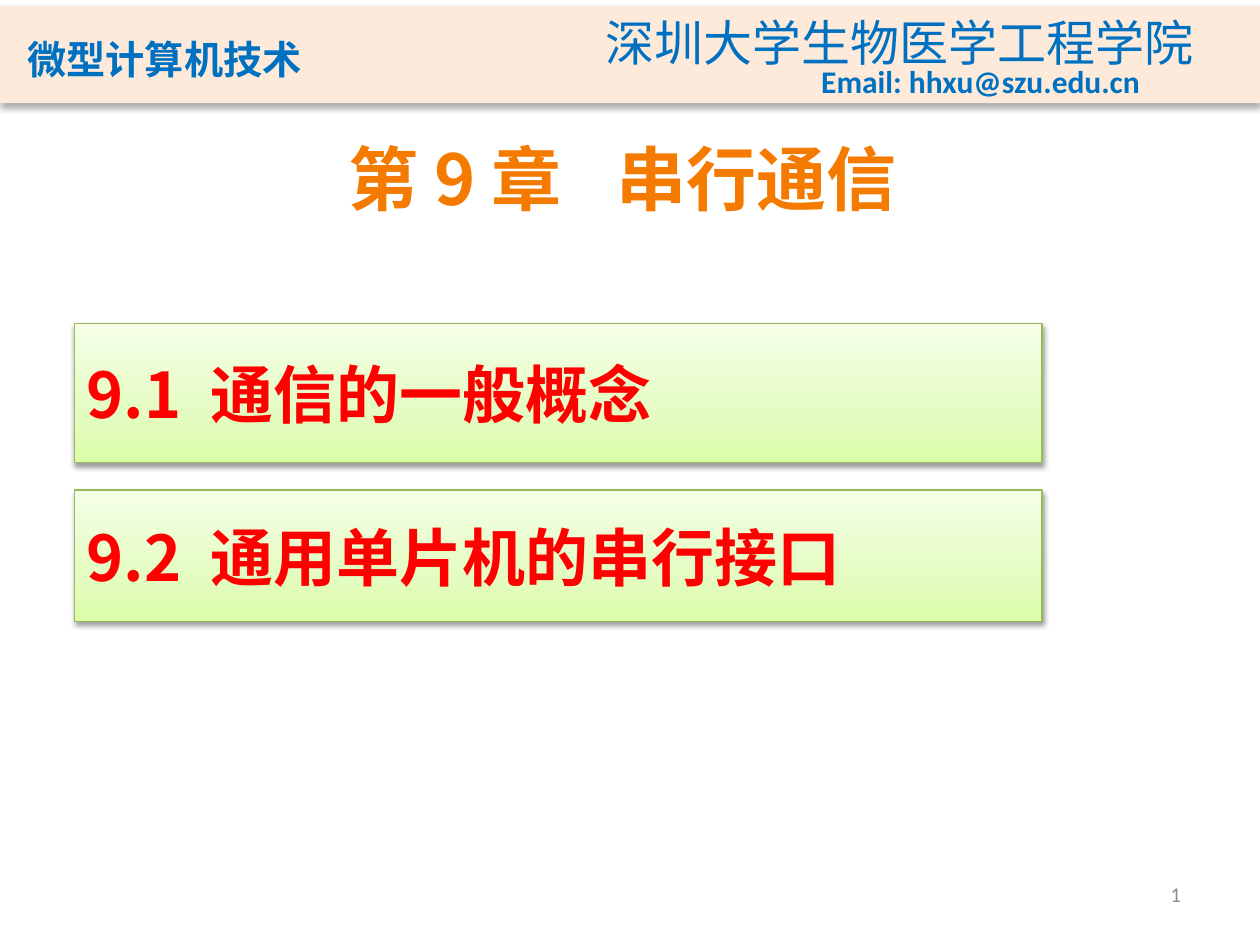
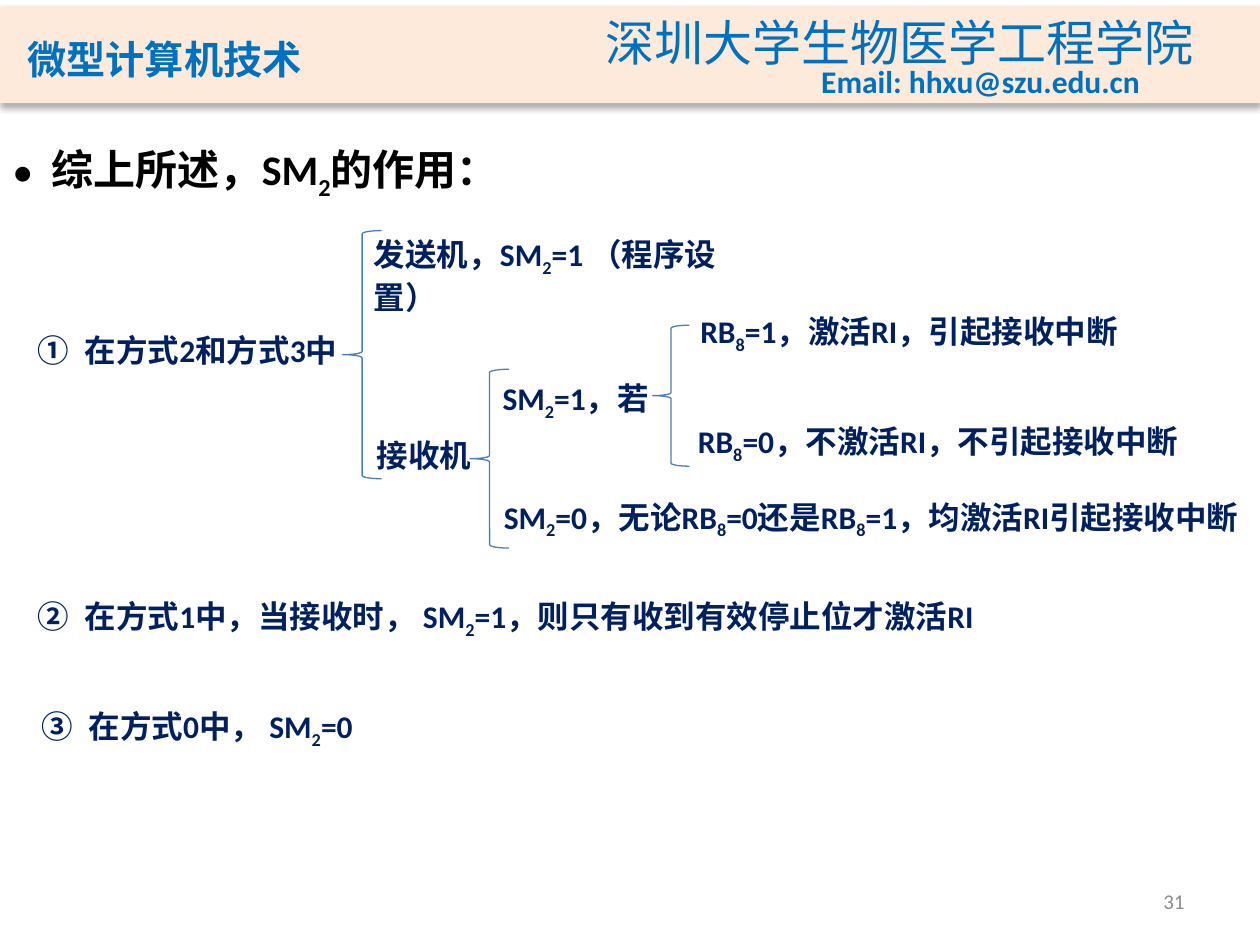
from dataclasses import dataclass

from pptx import Presentation
from pptx.dml.color import RGBColor
from pptx.enum.shapes import MSO_SHAPE
from pptx.enum.text import MSO_ANCHOR, PP_ALIGN
from pptx.oxml import parse_xml
from pptx.oxml.ns import nsdecls, qn
from pptx.util import Pt


@dataclass(frozen=True)
class Theme:
    """Colours, fonts and type sizes of the deck."""
    band: str = "FDEADA"
    brand: str = "0070C0"
    title: str = "F47A00"
    topic: str = "FF0000"
    topic_line: str = "98B955"
    topic_fill: tuple = ((0, "DAFDA7"), (35, "E4FCC2"), (100, "F5FFE7"))
    ink: str = "000000"
    note: str = "002060"
    brace: str = "4B7EBC"
    page: str = "8C8C8C"
    latin: str = "Calibri"
    cjk: str = "Noto Sans CJK SC"
    cjk_alt: str = "Noto Sans CJK JP"
    sz_title: int = 40
    sz_topic: int = 36
    sz_brand: int = 28
    sz_head: int = 24
    sz_note: int = 18
    sz_page: int = 12


T = Theme()


@dataclass(frozen=True)
class Box:
    """A rectangle in points."""
    x: float
    y: float
    w: float
    h: float

    def sub(self, dx, dy, w, h):
        """Return a box placed relative to this one."""
        return Box(self.x + dx, self.y + dy, w, h)

    def emu(self):
        """Return left, top, width and height as lengths."""
        return [Pt(v) for v in (self.x, self.y, self.w, self.h)]


def rgb(value):
    """Turn a hex string into a colour."""
    return RGBColor.from_string(value)


def style_run(r, size, color, font, bold):
    """Format one run for Latin and East Asian text."""
    r.font.size, r.font.bold, r.font.name = Pt(size), bold, font
    r.font.color.rgb = rgb(color)
    ea = T.cjk if font == T.latin else font
    r.font._element.append(parse_xml(f'<a:ea {nsdecls("a")} typeface="{ea}"/>'))


def write(tf, text, size, color, font=T.latin, bold=True, align=PP_ALIGN.LEFT):
    """Fill a text frame; every second part between bars is a subscript."""
    p = tf.paragraphs[0]
    p.alignment = align
    for i, part in enumerate(text.split("|")):
        r = p.add_run()
        r.text = part
        style_run(r, size, color, font, bold)
        if i % 2:
            r.font._element.set("baseline", "-25000")
    return p


def add_text(s, box, text, size, color, wrap=True, anchor=MSO_ANCHOR.TOP, **kw):
    """Add a text box and return its paragraph."""
    tf = s.shapes.add_textbox(*box.emu()).text_frame
    tf.word_wrap, tf.vertical_anchor = wrap, anchor
    return write(tf, text, size, color, **kw)


def set_bullet(p, indent, *parts):
    """Give a paragraph a hanging indent and bullet elements."""
    pPr = p._p.get_or_add_pPr()
    pPr.set("marL", str(Pt(indent)))
    pPr.set("indent", str(-Pt(indent)))
    for part in parts:
        pPr.append(parse_xml(f'<a:{part} {nsdecls("a")}/>'))


def set_shadow(sp, alpha, blur, dist):
    """Give a shape a black shadow that falls downwards."""
    sp.shadow.inherit = False
    sp._element.spPr.find(qn("a:effectLst")).append(parse_xml(
        f'<a:outerShdw {nsdecls("a")} blurRad="{Pt(blur)}" dist="{Pt(dist)}" '
        f'dir="5400000" rotWithShape="0"><a:srgbClr val="000000">'
        f'<a:alpha val="{alpha * 1000}"/></a:srgbClr></a:outerShdw>'))


def set_gradient(sp, stops, angle):
    """Fill a shape with a linear gradient."""
    gs = "".join(f'<a:gs pos="{pos * 1000}"><a:srgbClr val="{c}"/></a:gs>'
                 for pos, c in stops)
    sp._element.spPr.find(qn("a:prstGeom")).addnext(parse_xml(
        f'<a:gradFill {nsdecls("a")} rotWithShape="1"><a:gsLst>{gs}</a:gsLst>'
        f'<a:lin ang="{angle * 60000}" scaled="0"/></a:gradFill>'))


def add_header(s, box):
    """Draw the band with course, school and address."""
    sp = s.shapes.add_shape(MSO_SHAPE.RECTANGLE, *box.emu())
    sp.fill.solid()
    sp.fill.fore_color.rgb = rgb(T.band)
    sp.line.fill.background()
    set_shadow(sp, 32, 3.5, 2.2)
    p = add_text(s, box.sub(8.6, 7.9, 244, 40.3), "微型计算机技术", T.sz_brand,
                 T.brand, anchor=MSO_ANCHOR.BOTTOM, font=T.cjk_alt)
    p.runs[0].font._element.set("cap", "small")
    add_text(s, box.sub(339.1, 0, 353.5, 41), "深圳大学生物医学工程学院",
             T.sz_brand, T.brand, wrap=False, font=T.cjk, bold=False)
    add_text(s, box.sub(462.2, 28.1, 198, 28.8), "Email: hhxu@szu.edu.cn",
             T.sz_note, T.brand, wrap=False)


def add_page(s, box, number):
    """Write the page number."""
    add_text(s, box, str(number), T.sz_page, T.page, anchor=MSO_ANCHOR.MIDDLE,
             bold=False, align=PP_ALIGN.RIGHT)


def add_topic(s, box, text):
    """Draw one topic button."""
    sp = s.shapes.add_shape(MSO_SHAPE.ACTION_BUTTON_CUSTOM, *box.emu())
    set_gradient(sp, T.topic_fill, 270)
    sp.line.color.rgb, sp.line.width = rgb(T.topic_line), Pt(0.75)
    set_shadow(sp, 38, 3.1, 1.6)
    tf = sp.text_frame
    tf.word_wrap, tf.vertical_anchor = True, MSO_ANCHOR.MIDDLE
    tf.margin_top, tf.margin_bottom = 0, Pt(3.6)
    write(tf, text, T.sz_topic, T.topic, font=T.cjk).line_spacing = 1.1


def add_chapter(s, box):
    """Place the chapter title and its topics."""
    p = add_text(s, box.sub(-8.6, -0.7, 728.6, 72), "第 9 章\t 串行通信", T.sz_title,
                 T.title, font=T.cjk, align=PP_ALIGN.CENTER)
    p.line_spacing = 1.05
    add_topic(s, box.sub(42.5, 113, 553, 79.2), "9.1  通信的一般概念")
    add_topic(s, box.sub(42.5, 208.1, 553, 74.9), "9.2  通用单片机的串行接口")


def add_brace(s, box):
    """Draw a left brace that opens a branch."""
    sp = s.shapes.add_shape(MSO_SHAPE.LEFT_BRACE, *box.emu())
    sp.shadow.inherit = False
    sp.fill.background()
    sp.line.color.rgb, sp.line.width = rgb(T.brace), Pt(0.75)


def add_summary(s, box):
    """Place the heading, the numbered cases and the tree of braces."""
    p = add_text(s, box.sub(0, 6.5, 270, 36), "综上所述，SM|2|的作用：",
                 T.sz_head, T.ink)
    set_bullet(p, 22.5, 'buFont typeface="Calibri"', 'buChar char="•"')
    cases = (
        (14.4, 113.8, 187, "在方式2和方式3中"),
        (14.4, 265.7, 558, "在方式1中，当接收时， SM|2|=1，则只有收到有效停止位才激活RI"),
        (16.6, 328.3, 194.4, "在方式0中， SM|2|=0"),
    )
    for n, (x, y, w, text) in enumerate(cases, 1):
        p = add_text(s, box.sub(x, y, w, 28.8), text, T.sz_note, T.note)
        set_bullet(p, 27, f'buAutoNum type="circleNumDbPlain" startAt="{n}"')
    braces = ((195.8, 59.8, 22.3, 141.8), (268.6, 139, 22.3, 102.2),
              (373, 113.8, 20.9, 80.6))
    for spot in braces:
        add_brace(s, box.sub(*spot))
    branches = (
        (206.6, 59, 245.5, "发送机，SM|2|=1 （程序设置）"),
        (208.1, 173.5, 83.5, "接收机"),
        (280.1, 141.1, 136, "SM|2|=1，若"),
        (393.1, 103, 260, "RB|8|=1，激活RI，引起接收中断"),
        (391.7, 165.6, 308.9, "RB|8|=0，不激活RI，不引起接收中断"),
        (280.8, 208.8, 445, "SM|2|=0，无论RB|8|=0还是RB|8|=1，均激活RI引起接收中断"),
    )
    for x, y, w, text in branches:
        add_text(s, box.sub(x, y, w, 28.8), text, T.sz_note, T.note)


def main():
    """Build the two slides."""
    prs = Presentation()
    prs.slide_width, prs.slide_height = Pt(720), Pt(540)
    pages = ((add_chapter, 1, Box(514.1, 496.8, 167.8, 28.8)),
             (add_summary, 31, Box(516.2, 500.4, 167.8, 28.8)))
    for fill_body, number, page_box in pages:
        s = prs.slides.add_slide(prs.slide_layouts[6])
        add_header(s, Box(0, 3.6, 720, 55.4))
        add_page(s, page_box, number)
        fill_body(s, Box(0, 72, 720, 410))
    prs.save("out.pptx")


if __name__ == "__main__":
    main()
